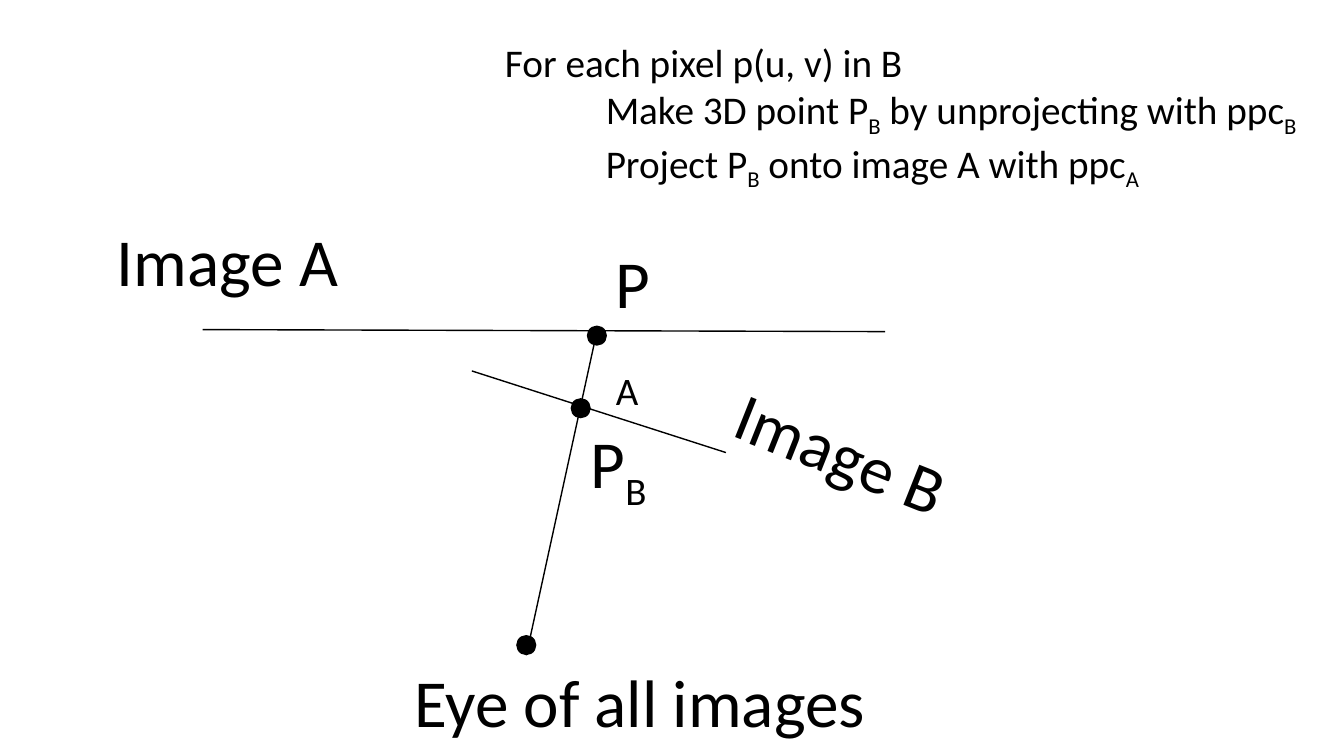
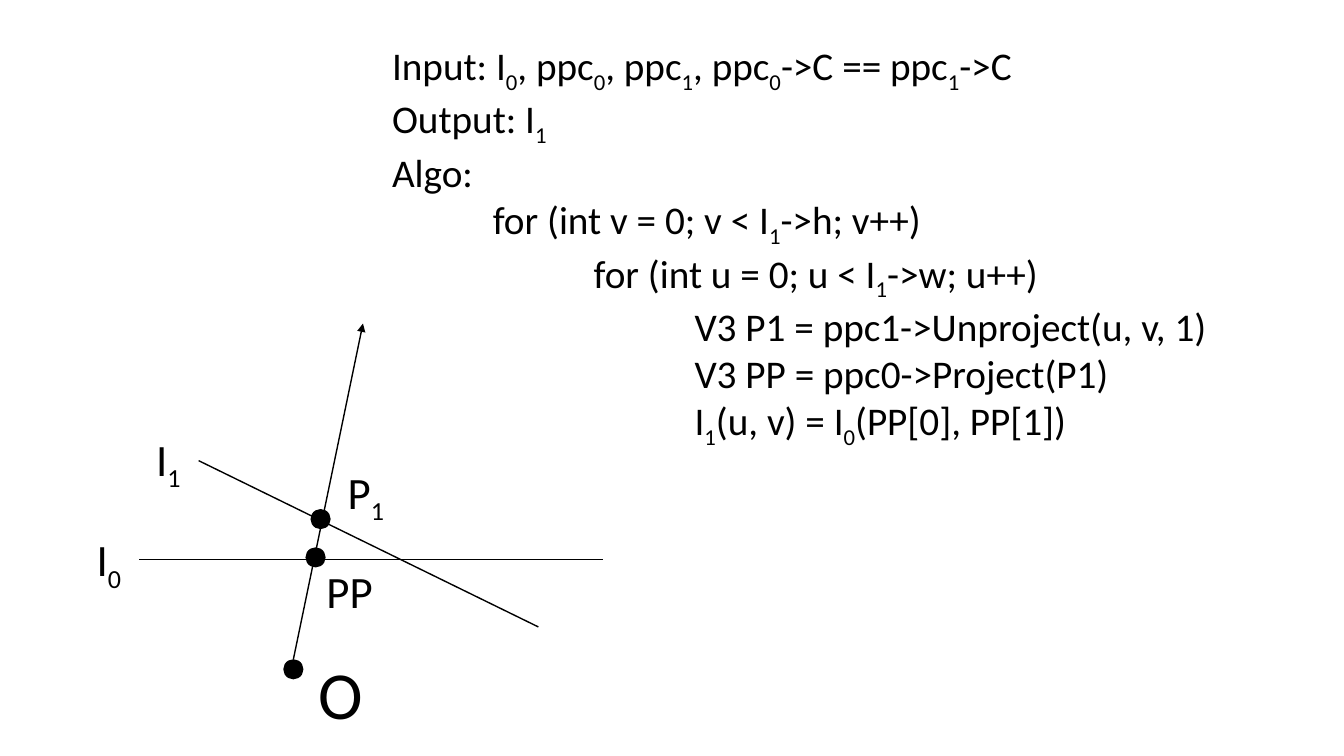
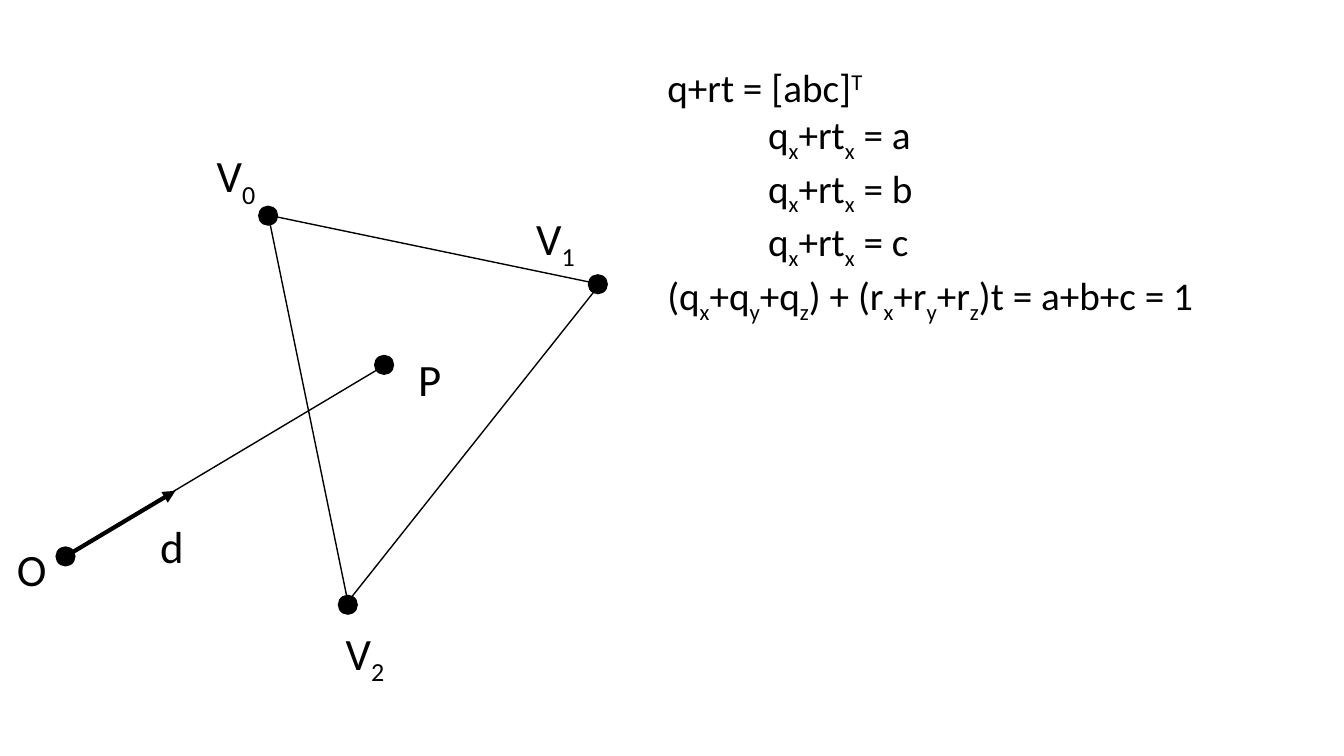
from dataclasses import dataclass

from lxml.etree import SubElement
from pptx import Presentation
from pptx.dml.color import RGBColor
from pptx.enum.shapes import MSO_CONNECTOR as Connector, MSO_SHAPE as Preset
from pptx.enum.text import MSO_AUTO_SIZE as AutoSize
from pptx.oxml.ns import qn
from pptx.util import Inches, Pt

INK = "000000"
DOT_SIZE = 0.2
LEVEL_INDENT = 1
TEXT_FORMAT = {"name": "Calibri", "bold": False, "italic": False}
BASELINES = {"_": -25000, "^": 30000}

Point = tuple[float, float]


@dataclass(frozen=True)
class Segment:
    start: Point
    end: Point
    width: float = 1
    arrow: bool = False


@dataclass(frozen=True)
class TextBlock:
    """Text in which _ lowers and ^ raises the next character; a line is (level, text)."""
    left: float
    top: float
    width: float
    height: float
    lines: tuple[tuple[int, str], ...]
    size: int = 28
    rotation: float = 0
    wrap: bool = True


@dataclass(frozen=True)
class Diagram:
    segments: list[Segment]
    dot_centers: list[Point]
    texts: list[TextBlock]


def large_label(text: str, left: float, top: float, width: float,
                rotation: float = 0, wrap: bool = False) -> TextBlock:
    return TextBlock(left, top, width, 0.91, ((0, text),), 48, rotation, wrap)


def small_label(text: str, left: float, top: float, width: float) -> TextBlock:
    return TextBlock(left, top, width, 0.64, ((0, text),), 32, wrap=False)


def color(value: str) -> RGBColor:
    return RGBColor.from_string(value)


def draw_segment(slide, segment: Segment) -> None:
    connector = slide.shapes.add_connector(
        Connector.STRAIGHT, *map(Inches, segment.start + segment.end))
    connector.line.color.rgb = color(INK)
    connector.line.width = Pt(segment.width)
    if segment.arrow:
        SubElement(connector.line._get_or_add_ln(), qn("a:tailEnd"), type="triangle")
    SubElement(connector._element.spPr, qn("a:effectLst"))


def draw_dot(slide, center: Point) -> None:
    left, top = (Inches(value - DOT_SIZE / 2) for value in center)
    dot = slide.shapes.add_shape(
        Preset.OVAL, left, top, Inches(DOT_SIZE), Inches(DOT_SIZE))
    dot.shadow.inherit = False
    dot.fill.solid()
    dot.fill.fore_color.rgb = color(INK)
    dot.line.fill.background()


def add_run(paragraph, text: str, size: int, baseline: int = 0) -> None:
    if not text:
        return
    run = paragraph.add_run()
    run.text = text
    for name, value in {**TEXT_FORMAT, "size": Pt(size)}.items():
        setattr(run.font, name, value)
    run.font.color.rgb = color(INK)
    if baseline:
        run._r.get_or_add_rPr().set("baseline", str(baseline))


def add_marked_text(paragraph, text: str, size: int) -> None:
    """Split text at its _ and ^ marks into lowered, raised and plain runs."""
    for mark in BASELINES:
        text = text.replace(mark, "|" + mark)
    for piece in text.split("|"):
        if piece[:1] in BASELINES:
            add_run(paragraph, piece[1], size, BASELINES[piece[0]])
            piece = piece[2:]
        add_run(paragraph, piece, size)


def draw_text(slide, block: TextBlock) -> None:
    box = slide.shapes.add_textbox(
        *map(Inches, (block.left, block.top, block.width, block.height)))
    box.rotation = block.rotation
    frame = box.text_frame
    frame.word_wrap = block.wrap
    frame.auto_size = AutoSize.SHAPE_TO_FIT_TEXT
    for index, (level, text) in enumerate(block.lines):
        paragraph = frame.add_paragraph() if index else frame.paragraphs[0]
        if level:
            indent = Inches(level * LEVEL_INDENT)
            paragraph._p.get_or_add_pPr().set("marL", str(indent))
        add_marked_text(paragraph, text, block.size)


def draw_diagram(presentation, diagram: Diagram) -> None:
    slide = presentation.slides.add_slide(presentation.slide_layouts[6])
    for segment in diagram.segments:
        draw_segment(slide, segment)
    for center in diagram.dot_centers:
        draw_dot(slide, center)
    for block in diagram.texts:
        draw_text(slide, block)


REPROJECTION = Diagram(
    segments=[
        Segment((8.78, 3.29), (2.01, 3.27)),
        Segment((7.2, 4.49), (4.68, 3.68)),
        Segment((5.22, 6.5), (5.92, 3.29)),
    ],
    dot_centers=[(5.22, 6.4), (5.76, 4.05), (5.92, 3.33)],
    texts=[
        large_label("Image A", 1.06, 2.13, 2.42),
        large_label("Eye of all images", 4.01, 6.5, 4.72),
        large_label("Image B", 7.16, 4.04, 2.42, rotation=21.8),
        large_label("P_B", 5.76, 4.13, 0.79),
        large_label("P_A", 6.01, 2.34, 0.76, wrap=True),
        TextBlock(4.91, 0.33, 8.19, 1.51, (
            (0, "For each pixel p(u, v) in B"),
            (1, "Make 3D point P_B by unprojecting with ppc_B"),
            (1, "Project P_B onto image A with ppc_A"),
        )),
    ],
)

ALGORITHM = Diagram(
    segments=[
        Segment((1.38, 5.55), (5.98, 5.55)),
        Segment((2.91, 6.54), (3.6, 3.21), arrow=True),
        Segment((1.97, 4.57), (5.34, 6.22)),
    ],
    dot_centers=[(2.91, 6.64), (3.18, 5.15), (3.13, 5.53)],
    texts=[
        large_label("O", 3.06, 6.42, 0.65),
        small_label("I_0", 0.86, 5.23, 0.47),
        small_label("I_1", 1.45, 4.23, 0.47),
        small_label("P_1", 3.35, 4.56, 0.59),
        small_label("PP", 3.14, 5.54, 0.66),
        TextBlock(3.79, 0.36, 8.38, 3.87, (
            (0, "Input: I_0, ppc_0, ppc_1, ppc_0->C == ppc_1->C"),
            (0, "Output: I_1"),
            (0, "Algo:"),
            (1, "for (int v = 0; v < I_1->h; v++)"),
            (2, "for (int u = 0; u < I_1->w; u++)"),
            (3, "V3 P1 = ppc1->Unproject(u, v, 1)"),
            (3, "V3 PP = ppc0->Project(P1)"),
            (3, "I_1(u, v) = I_0(PP[0], PP[1])"),
        )),
    ],
)

TRIANGLE = Diagram(
    segments=[
        Segment((0.64, 5.52), (3.84, 3.61)),
        Segment((2.64, 2.13), (5.95, 2.82)),
        Segment((2.66, 2.13), (3.45, 5.97)),
        Segment((5.95, 2.82), (3.45, 5.97)),
        Segment((0.65, 5.52), (1.74, 4.87), width=3, arrow=True),
    ],
    dot_centers=[(0.65, 5.52), (3.81, 3.62), (2.66, 2.14), (5.93, 2.82), (3.45, 6)],
    texts=[
        small_label("O", 0.07, 5.33, 0.5),
        small_label("P", 4.05, 3.44, 0.43),
        small_label("V_0", 2.05, 1.42, 0.61),
        small_label("V_1", 5.22, 2.04, 0.61),
        small_label("V_2", 3.33, 6.16, 0.61),
        small_label("d", 1.49, 5.1, 0.44),
        TextBlock(6.52, 0.58, 5.58, 2.3, (
            (0, "q+rt = [abc]^T"),
            *((1, f"q_x+rt_x = {coordinate}") for coordinate in "abc"),
            (0, "(q_x+q_y+q_z) + (r_x+r_y+r_z)t = a+b+c = 1"),
        )),
    ],
)


def main() -> None:
    presentation = Presentation()
    presentation.slide_width = Inches(13.33)
    presentation.slide_height = Inches(7.5)
    for diagram in (REPROJECTION, ALGORITHM, TRIANGLE):
        draw_diagram(presentation, diagram)
    presentation.save("out.pptx")


if __name__ == "__main__":
    main()
